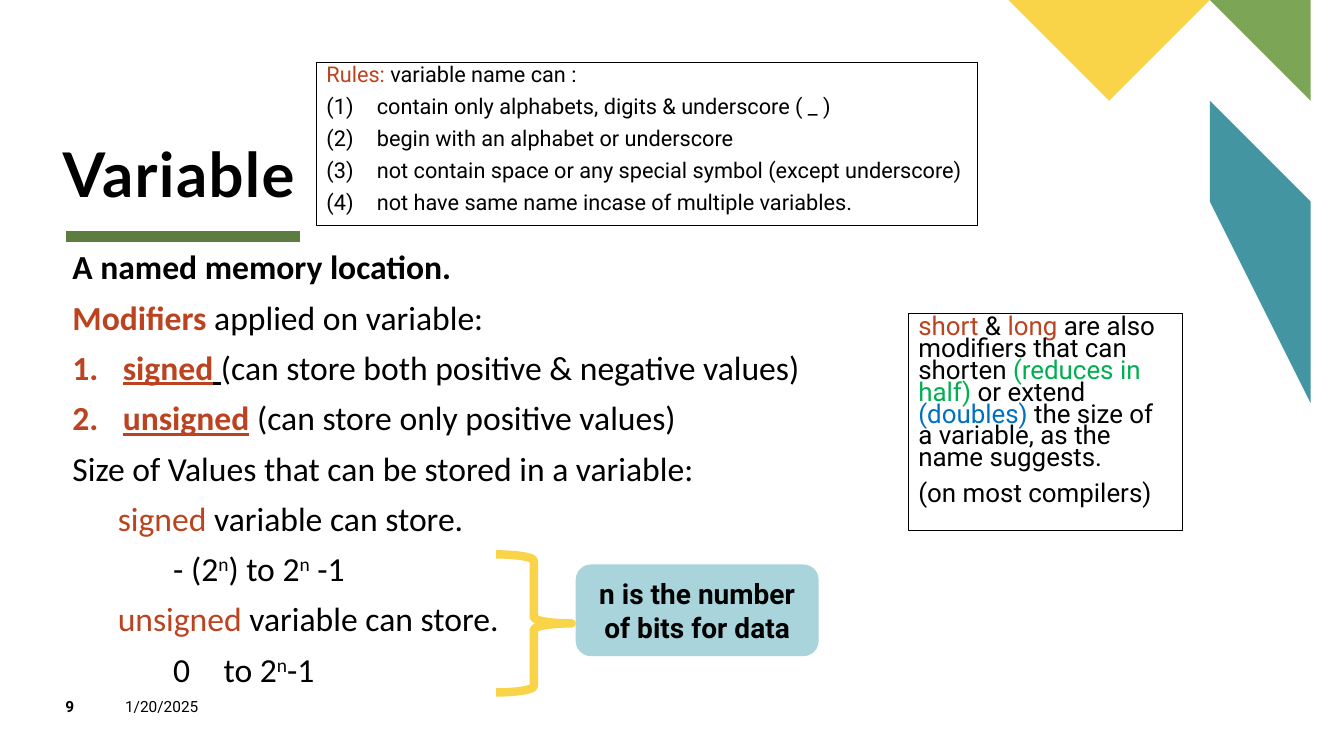
from lxml import etree
from pptx import Presentation
from pptx.dml.color import RGBColor
from pptx.enum.shapes import MSO_CONNECTOR as CONN, MSO_SHAPE as SHAPE
from pptx.enum.text import MSO_ANCHOR as ANCHOR, PP_ALIGN as ALIGN
from pptx.oxml.ns import qn
from pptx.util import Inches, Pt

COLORS = dict(black="000000", red="BB431F", green="00B050", blue="0070C0",
              teal="4495A2", leaf="7CA655", yellow="F9D448", moss="5D7D40", pale="A9D4DB")

# Content: a paragraph is (runs, layout); a run is (text, format)
RED = dict(color="red")
BOLD = dict(bold=True)
KEYWORD = dict(color="red", bold=True, underline=True)
SUP = dict(base=30)
NUMBERED = dict(margin=0.5, indent=-0.5, number="arabicPeriod")
RULE = dict(margin=0.5, indent=-0.5, number="arabicParenBoth")
CASE = dict(margin=0.45)
RANGE = dict(margin=1.0, tab=1.39)

TITLE = [([("Variable", dict(bold=True, spacing=1))], {})]
PAGE = [([("9", BOLD)], {})]
DATE = [([("1/20/2025", {})], {})]
BODY = [
    ([("A named memory location.", BOLD)], {}),
    ([("Modifiers", dict(color="red", bold=True)), (" applied on variable:", {})], {}),
    ([("signed", KEYWORD), (" ", dict(bold=True, underline=True)),
      ("(can store both positive & negative values)", {})], NUMBERED),
    ([("unsigned", KEYWORD), (" (can store only positive values)", {})], NUMBERED),
    ([("Size of Values that can be stored in a variable:", {})], {}),
    ([("signed", RED), (" variable can store.", {})], CASE),
    ([("- (2", {}), ("n", SUP), (") to 2", {}), ("n", SUP), (" -1", {})], RANGE),
    ([("unsigned", RED), (" variable can store.", {})], CASE),
    ([("0\tto 2", {}), ("n", SUP), ("-1", {})], RANGE),
]
BITS = [([("n is the number of bits for data", BOLD)], {})]
SIZES = [
    ([("short", RED), (" & ", {}), ("long", RED),
      (" are also modifiers that can shorten ", {}),
      ("(reduces in half)", dict(color="green")), (" or extend ", {}),
      ("(doubles) ", dict(color="blue")),
      ("the size of a variable, as the name suggests.", {})], {}),
    ([("(on most compilers)", {})], {}),
]
RULES = [([("Rules:", RED), (" variable name can :", {})], {})] + [
    ([(rule, {})], RULE) for rule in (
        "contain only alphabets, digits & underscore ( _ )",
        "begin with an alphabet or underscore",
        "not contain space or any special symbol (except underscore)",
        "not have same name incase of multiple variables.")]

CORNERS = [
    ("teal", [(13.33, 3.64), (13.33, 2.41), (12.12, 1.19), (11.5, 1.8)]),
    ("leaf", [(13.33, 1.19), (13.33, 0), (12.15, 0)]),
    ("yellow", [(9.7, 0), (10.89, 1.19), (12.09, 0)]),
]

prs = Presentation()
prs.slide_width, prs.slide_height = Inches(13.33), Inches(7.5)
s = prs.slides.add_slide(prs.slide_layouts[6])


def rgb(name):
    return RGBColor.from_string(COLORS[name])


def style(sp, fill=None, line=None, width=0.75):
    sp.shadow.inherit = False
    if fill:
        sp.fill.solid()
        sp.fill.fore_color.rgb = rgb(fill)
    else:
        sp.fill.background()
    if line:
        sp.line.color.rgb = rgb(line)
        sp.line.width = Pt(width)
    else:
        sp.line.fill.background()


def add_run(p, text, size, font, color="black", bold=False, underline=False,
            base=0, spacing=0):
    r = p.add_run()
    r.text = text
    f = r.font
    f.name, f.size, f.bold, f.underline = font, Pt(size), bold, underline
    f.color.rgb = rgb(color)
    if base:
        r._r.get_or_add_rPr().set("baseline", str(base * 1000))
    if spacing:
        r._r.get_or_add_rPr().set("spc", str(spacing * 100))


def write(sp, paragraphs, size, font, leading=1.0, before=10, inset=True,
          anchor=ANCHOR.TOP, align=ALIGN.LEFT):
    tf = sp.text_frame
    tf.word_wrap = True
    tf.vertical_anchor = anchor
    if not inset:
        tf.margin_left = tf.margin_right = tf.margin_top = tf.margin_bottom = 0
    for i, (runs, layout) in enumerate(paragraphs):
        p = tf.add_paragraph() if i else tf.paragraphs[0]
        p.alignment, p.line_spacing = align, leading
        p.space_before = Pt(before if i else 0)
        pPr = p._p.get_or_add_pPr()
        pPr.set("marL", str(Inches(layout.get("margin", 0))))
        pPr.set("indent", str(Inches(layout.get("indent", 0))))
        if "number" in layout:
            etree.SubElement(pPr, qn("a:buAutoNum"), type=layout["number"])
        if "tab" in layout:
            tabs = etree.SubElement(pPr, qn("a:tabLst"))
            etree.SubElement(tabs, qn("a:tab"), pos=str(Inches(layout["tab"])), algn="l")
        for text, fmt in runs:
            add_run(p, text, size, font, **fmt)


def textbox(*box):
    return s.shapes.add_textbox(*map(Inches, box))


def shape(kind, box, **look):
    sp = s.shapes.add_shape(kind, *map(Inches, box))
    style(sp, **look)
    return sp


# Corner decoration
for color, points in CORNERS:
    builder = s.shapes.build_freeform(*points[0], scale=Inches(1))
    builder.add_line_segments(points[1:], close=True)
    style(builder.convert_to_shape(), fill=color)

# Rule under the title
rule_line = s.shapes.add_connector(CONN.STRAIGHT, *map(Inches, (0.65, 2.35, 2.98, 2.35)))
rule_line.line.color.rgb = rgb("moss")
rule_line.line.width = Pt(8)
etree.SubElement(rule_line._element.spPr, qn("a:effectLst"))

# Footer, title and body
write(textbox(0.65, 6.92, 0.57, 0.27), PAGE, 11, "Roboto", inset=False)
write(textbox(1.24, 6.92, 1.44, 0.27), DATE, 11, "Roboto", inset=False)
write(textbox(0.62, 0.63, 11.38, 1.45), TITLE, 44, "Lato", leading=0.8,
      inset=False, anchor=ANCHOR.BOTTOM)
write(textbox(0.62, 2.44, 7.63, 4.43), BODY, 24, "Calibri", leading=0.9)

# Brace and its label
shape(SHAPE.RIGHT_BRACE, (4.92, 5.5, 0.75, 1.37), line="yellow", width=6)
write(shape(SHAPE.ROUNDED_RECTANGLE, (5.71, 5.6, 2.41, 0.91), fill="pale"),
      BITS, 20, "Roboto", anchor=ANCHOR.MIDDLE, align=ALIGN.CENTER)

# Framed notes
for box, text, size in [((9.01, 3.11, 2.72, 2.15), SIZES, 18.5),
                        ((3.14, 0.62, 6.56, 1.62), RULES, 15.5)]:
    write(shape(SHAPE.RECTANGLE, box, line="black"), text, size, "Roboto", leading=0.7)

prs.save("out.pptx")
